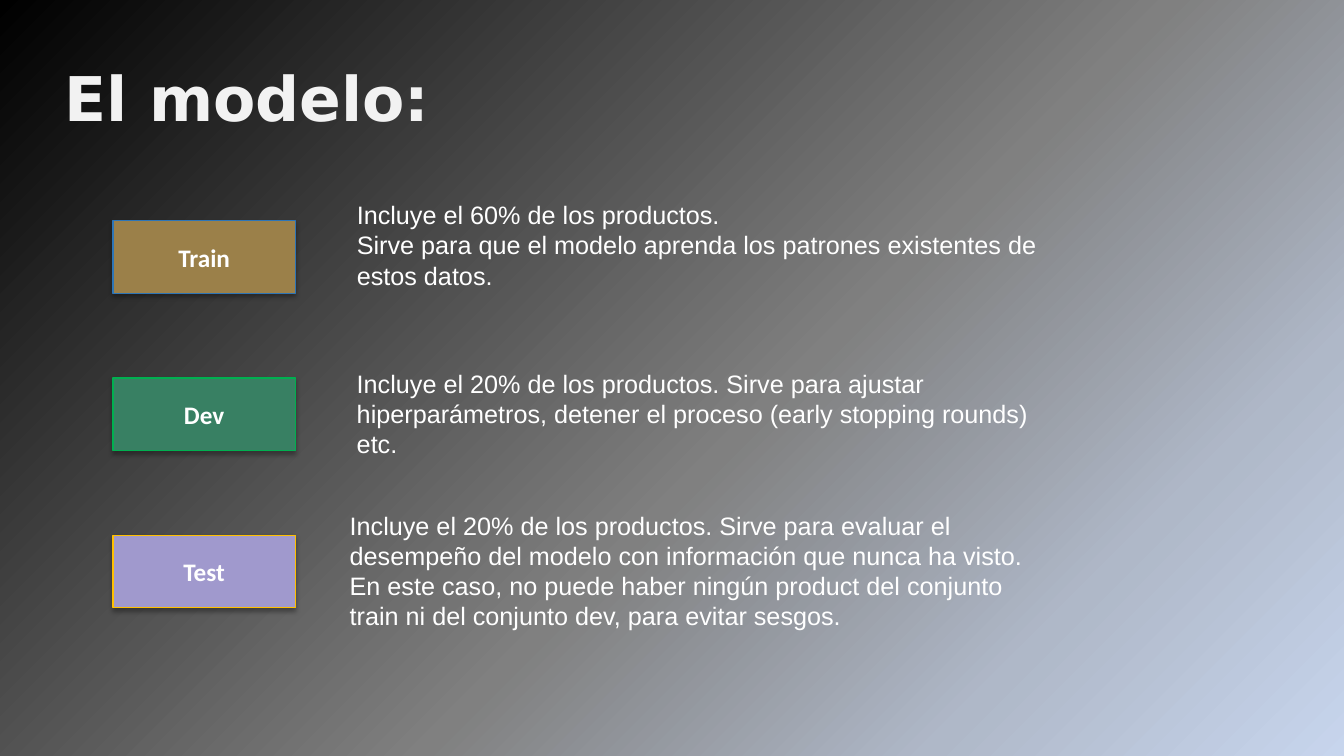
import pptx
import pptx.dml.color
import pptx.enum.shapes
import pptx.enum.text
import pptx.oxml
import pptx.oxml.ns
import pptx.util
from pptx.dml.color import RGBColor
from pptx.enum.text import MSO_ANCHOR, MSO_AUTO_SIZE, PP_ALIGN
from pptx.util import Inches, Pt

WHITE = RGBColor(0xFF, 0xFF, 0xFF)
TITLE_GREY = RGBColor(0xF2, 0xF2, 0xF2)
BROWN, BLUE = RGBColor(0x9B, 0x80, 0x49), RGBColor(0x2E, 0x75, 0xB6)
TEAL, GREEN = RGBColor(0x38, 0x80, 0x63), RGBColor(0x00, 0xB0, 0x50)
LILAC, GOLD = RGBColor(0xA0, 0x99, 0xCD), RGBColor(0xFF, 0xC0, 0x00)
BACKGROUND_STOPS = [
    (0, RGBColor(0x00, 0x00, 0x00)),
    (56, RGBColor(0x80, 0x80, 0x80)),
    (80, RGBColor(0xAF, 0xB8, 0xC8)),
    (100, RGBColor(0xC7, 0xD5, 0xED)),
]

TITLE = "El modelo:"
DATA_SETS = [
    ("Train", BROWN, BLUE, (3.44, 1.93, 7.05, 1.01), [
        "Incluye el 60% de los productos.",
        "Sirve para que el modelo aprenda los patrones existentes de estos datos.",
    ]),
    ("Dev", TEAL, GREEN, (3.44, 3.6, 7.13, 1.01), [
        "Incluye el 20% de los productos. Sirve para ajustar hiperparámetros, "
        "detener el proceso (early stopping rounds) etc.",
    ]),
    ("Test", LILAC, GOLD, (3.37, 5.01, 7.13, 1.31), [
        "Incluye el 20% de los productos. Sirve para evaluar el desempeño del modelo "
        "con información que nunca ha visto. En este caso, no puede haber ningún product "
        "del conjunto train ni del conjunto dev, para evitar sesgos.",
    ]),
]
LABEL_LEFT, LABEL_TOP, LABEL_PITCH = 1.12, 2.19, 1.56
LABEL_WIDTH, LABEL_HEIGHT = 1.81, 0.72
NAMESPACE = pptx.oxml.ns.nsdecls("a")


def paint_background(slide):
    fill = slide.background.fill
    fill.gradient()
    fill.gradient_angle = 315
    stop_list = slide.element.find(".//" + pptx.oxml.ns.qn("a:gsLst"))
    for stop in list(stop_list):
        stop_list.remove(stop)
    for position, color in BACKGROUND_STOPS:
        stop_list.append(pptx.oxml.parse_xml(
            f'<a:gs {NAMESPACE} pos="{position * 1000}"><a:srgbClr val="{color}"/></a:gs>'))


def write(text_frame, lines, font_name, size, color, bold=False, alignment=PP_ALIGN.LEFT):
    text_frame.word_wrap = True
    text_frame.text = "\n".join(lines)
    for paragraph in text_frame.paragraphs:
        paragraph.alignment = alignment
        for run in paragraph.runs:
            run.font.name = font_name
            run.font.size = Pt(size)
            run.font.bold = bold
            run.font.color.rgb = color


def add_shadow(shape):
    shape.shadow.inherit = False
    effects = shape.element.spPr.find(pptx.oxml.ns.qn("a:effectLst"))
    effects.append(pptx.oxml.parse_xml(
        f'<a:outerShdw {NAMESPACE} blurRad="{Pt(3.5)}" dist="{Pt(2.2)}" dir="5400000" '
        'algn="t" rotWithShape="0"><a:srgbClr val="000000"><a:alpha val="32000"/>'
        '</a:srgbClr></a:outerShdw>'))


def add_label(slide, top, name, fill_color, line_color):
    label = slide.shapes.add_shape(
        pptx.enum.shapes.MSO_SHAPE.RECTANGLE,
        Inches(LABEL_LEFT), Inches(top), Inches(LABEL_WIDTH), Inches(LABEL_HEIGHT))
    label.fill.solid()
    label.fill.fore_color.rgb = fill_color
    label.line.color.rgb = line_color
    label.line.width = Pt(1)
    add_shadow(label)
    label.text_frame.vertical_anchor = MSO_ANCHOR.MIDDLE
    write(label.text_frame, [name], "Calibri", 18, WHITE, True, PP_ALIGN.CENTER)


def main():
    """Build the slide describing the train, dev and test sets."""
    presentation = pptx.Presentation()
    presentation.slide_width = Inches(13.33)
    presentation.slide_height = Inches(7.5)
    slide = presentation.slides.add_slide(presentation.slide_layouts[5])
    paint_background(slide)

    title = slide.shapes.title
    title.left, title.top = Inches(0.54), Inches(0.54)
    title.width, title.height = Inches(5.81), Inches(0.84)
    title.text_frame.vertical_anchor = MSO_ANCHOR.TOP
    title.text_frame.auto_size = MSO_AUTO_SIZE.NONE
    write(title.text_frame, [TITLE], "DejaVu Sans", 44, TITLE_GREY, True)

    for index, (name, fill_color, line_color, box, lines) in enumerate(DATA_SETS):
        add_label(slide, LABEL_TOP + index * LABEL_PITCH, name, fill_color, line_color)
        description = slide.shapes.add_textbox(*map(Inches, box))
        write(description.text_frame, lines, "Arial", 18, WHITE)

    presentation.save("out.pptx")


if __name__ == "__main__":
    main()
